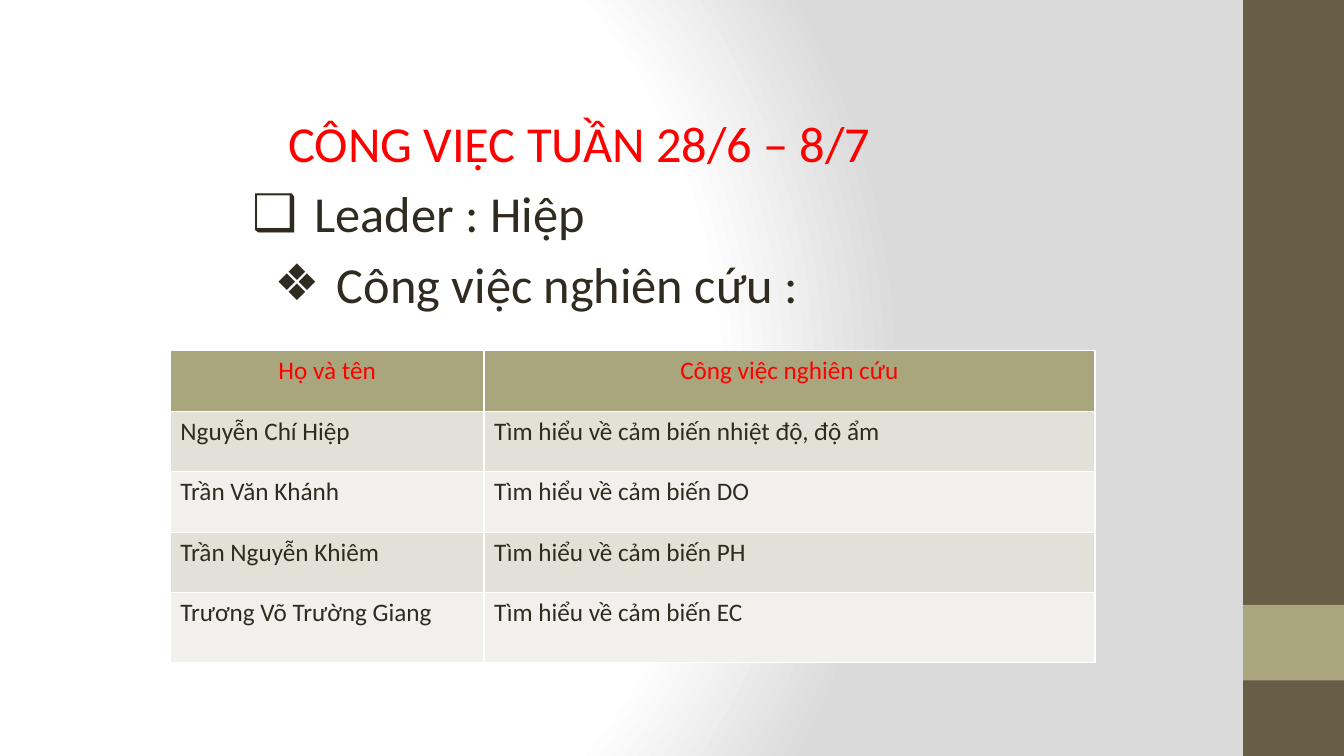
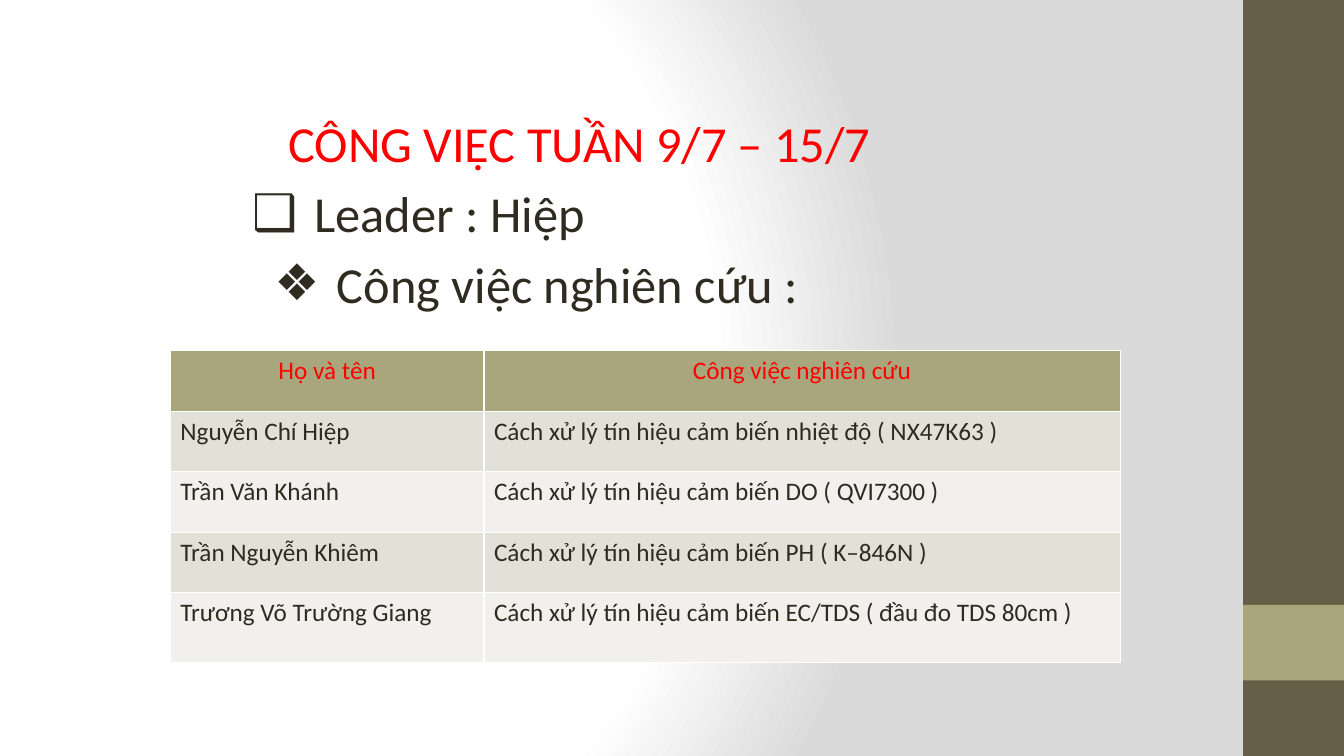
import pptx
import pptx.dml.color
import pptx.enum.shapes
import pptx.enum.text
import pptx.oxml
import pptx.oxml.ns
import pptx.util
from pptx.util import Inches

COLORS = {
    "title": "FF0000",
    "text": "2F2B20",
    "band": "675E47",
    "accent": "A9A57C",
    "odd_row": "E2E1D7",
    "even_row": "F1F0EC",
    "white": "FFFFFF",
    "gray": "DADADA",
}
FONT = "Calibri"
NAMESPACE = pptx.oxml.ns.nsdecls("a")
ALIGN = pptx.enum.text.PP_ALIGN
MEMBERS = ["Nguyễn Chí Hiệp", "Trần Văn Khánh", "Trần Nguyễn Khiêm", "Trương Võ Trường Giang"]
LIST_ITEMS = [("❑", "Leader : Hiệp", 1.12), ("❖", "Công việc nghiên cứu :", 1.34)]
WEEKS = [
    (
        "28/6 – 8/7",
        6.06,
        "Tìm hiểu về cảm biến ",
        ["nhiệt độ, độ ẩm", "DO", "PH", "EC"],
    ),
    (
        "9/7 – 15/7",
        6.31,
        "Cách xử lý tín hiệu cảm biến ",
        ["nhiệt độ ( NX47K63 )", "DO ( QVI7300 )", "PH ( K–846N )", "EC/TDS ( đầu đo TDS 80cm )"],
    ),
]


def rgb(name):
    return pptx.dml.color.RGBColor.from_string(COLORS[name])


class WeeklyDeck:
    def __init__(self):
        self.presentation = pptx.Presentation()
        self.presentation.slide_width = Inches(13.33)
        self.presentation.slide_height = Inches(7.5)
        self.slide = None
        self.set_background()

    def set_background(self):
        fill = self.presentation.slide_master.background.fill
        fill.solid()
        stops = "".join(
            f'<a:gs pos="{position * 1000}"><a:srgbClr val="{COLORS[name]}"/></a:gs>'
            for position, name in [(0, "white"), (75, "white"), (100, "gray")]
        )
        gradient = pptx.oxml.parse_xml(
            f'<a:gradFill {NAMESPACE} rotWithShape="1"><a:gsLst>{stops}</a:gsLst>'
            '<a:path path="circle"><a:fillToRect l="20000" t="50000" r="100000" b="50000"/></a:path>'
            "</a:gradFill>"
        )
        properties = self.presentation.slide_master.background._cSld.bg.bgPr
        properties.replace(properties.find(pptx.oxml.ns.qn("a:solidFill")), gradient)

    def add_slide(self):
        self.slide = self.presentation.slides.add_slide(self.presentation.slide_layouts[1])
        self.add_band(0, 7.5, "band")
        self.add_band(6, 0.75, "accent")

    def add_band(self, top, height, color):
        band = self.slide.shapes.add_shape(
            pptx.enum.shapes.MSO_SHAPE.RECTANGLE, Inches(12.33), Inches(top), Inches(1), Inches(height)
        )
        band.shadow.inherit = False
        band.fill.solid()
        band.fill.fore_color.rgb = rgb(color)
        band.line.fill.background()

    def style_paragraph(self, paragraph, size, color, alignment=ALIGN.LEFT):
        paragraph.alignment = alignment
        paragraph.space_before = pptx.util.Pt(0)
        for run in paragraph.runs:
            run.font.name = FONT
            run.font.size = pptx.util.Pt(size)
            run.font.color.rgb = rgb(color)

    def place(self, shape, left, top, width, height):
        shape.left, shape.top = Inches(left), Inches(top)
        shape.width, shape.height = Inches(width), Inches(height)
        shape.text_frame.word_wrap = True
        shape.text_frame.auto_size = pptx.enum.text.MSO_AUTO_SIZE.NONE
        shape.text_frame.vertical_anchor = pptx.enum.text.MSO_ANCHOR.TOP

    def add_title(self, text):
        title = self.slide.shapes.title
        self.place(title, 2.76, 1.06, 8.36, 0.71)
        title.text_frame.text = text
        self.style_paragraph(title.text_frame.paragraphs[0], 36, "title")

    def add_list(self, items):
        body = self.slide.placeholders[1]
        self.place(body, 1.9, 1.76, 8.96, 1.42)
        body.text_frame.text = "\n".join(text for _, text, _ in items)
        for paragraph, (bullet, _, margin) in zip(body.text_frame.paragraphs, items):
            self.style_paragraph(paragraph, 36, "text")
            paragraph.space_after = pptx.util.Pt(7.2)
            properties = paragraph._p.get_or_add_pPr()
            properties.set("marL", str(Inches(margin)))
            properties.set("indent", str(Inches(-0.62)))
            properties.append(pptx.oxml.parse_xml(f'<a:buChar {NAMESPACE} char="{bullet}"/>'))

    def add_table(self, rows, widths, heights):
        table = self.slide.shapes.add_table(
            len(rows), len(widths), Inches(1.69), Inches(3.48), Inches(sum(widths)), Inches(sum(heights))
        ).table
        table.first_row = table.horz_banding = False
        for column, width in zip(table.columns, widths):
            column.width = Inches(width)
        for index, (values, height) in enumerate(zip(rows, heights)):
            table.rows[index].height = Inches(height)
            fill = "accent" if index == 0 else ("even_row", "odd_row")[index % 2]
            for cell, text in zip(table.rows[index].cells, values):
                self.style_cell(cell, text, fill, index == 0)

    def style_cell(self, cell, text, fill, header):
        cell.text_frame.text = text
        color, alignment = ("title", ALIGN.CENTER) if header else ("text", ALIGN.LEFT)
        self.style_paragraph(cell.text_frame.paragraphs[0], 18, color, alignment)
        properties = cell._tc.get_or_add_tcPr()
        for side in "LRTB":
            properties.append(pptx.oxml.parse_xml(
                f'<a:ln{side} {NAMESPACE} w="{pptx.util.Pt(1)}"><a:solidFill>'
                f'<a:srgbClr val="{COLORS["white"]}"/></a:solidFill></a:ln{side}>'
            ))
        cell.fill.solid()
        cell.fill.fore_color.rgb = rgb(fill)


def main():
    deck = WeeklyDeck()
    for dates, task_width, prefix, tasks in WEEKS:
        deck.add_slide()
        deck.add_title(f"CÔNG VIỆC TUẦN {dates}")
        deck.add_list(LIST_ITEMS)
        rows = [("Họ và tên", "Công việc nghiên cứu")]
        rows += [(member, prefix + task) for member, task in zip(MEMBERS, tasks)]
        deck.add_table(rows, [3.11, task_width], [0.6] * 4 + [0.69])
    deck.presentation.save("out.pptx")


if __name__ == "__main__":
    main()
